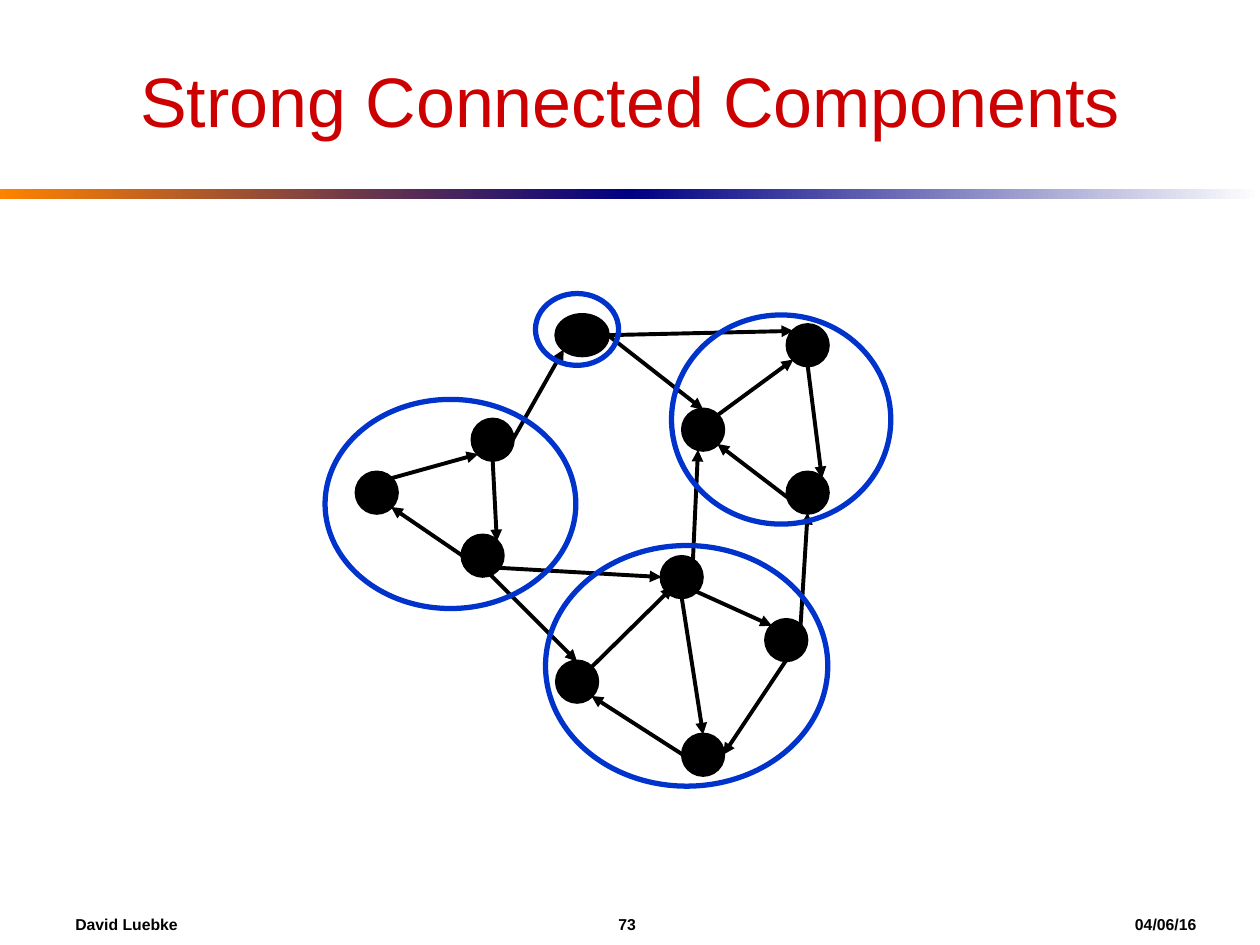
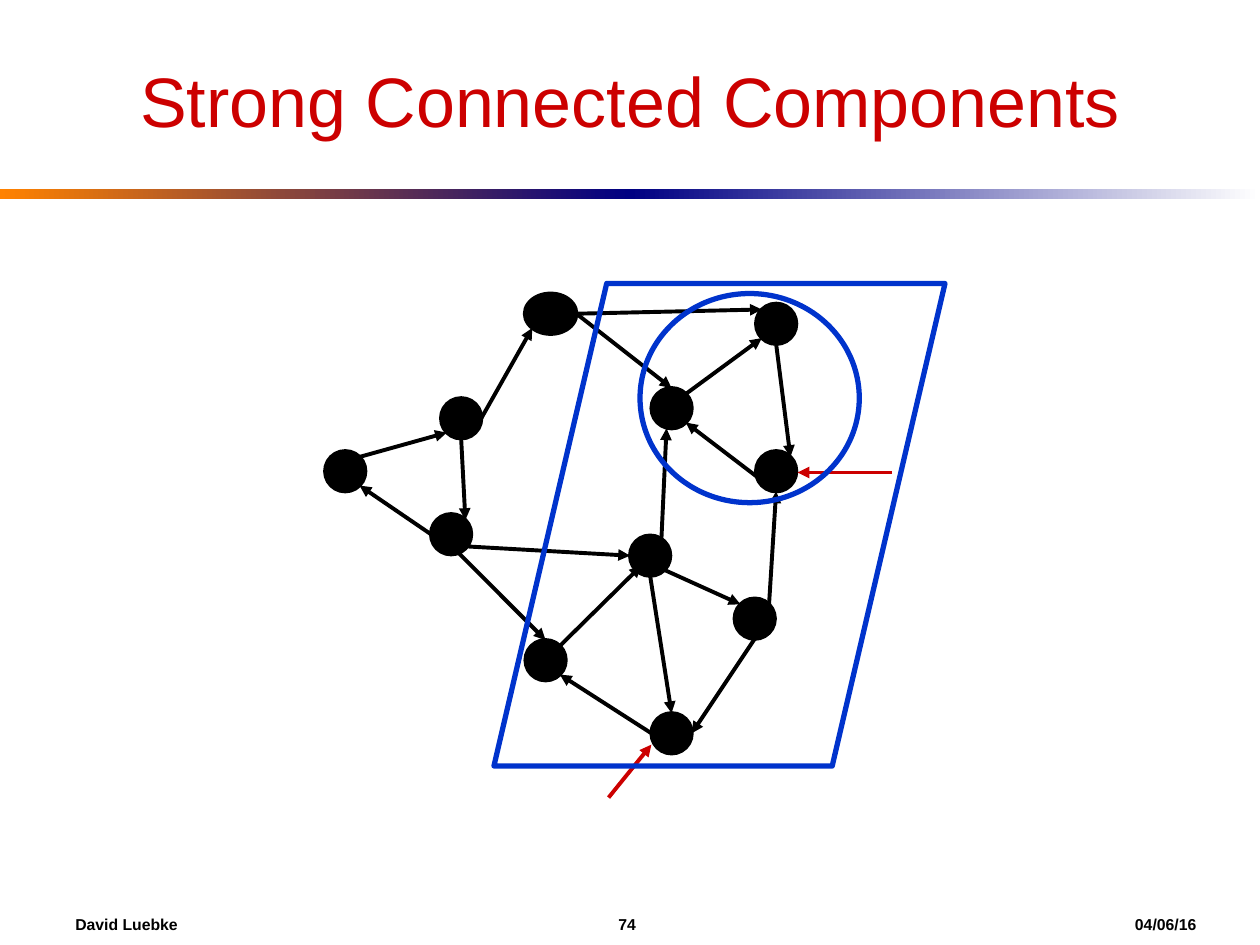
from lxml import etree
from pptx import Presentation
from pptx.dml.color import RGBColor
from pptx.enum.shapes import MSO_CONNECTOR as LINE, MSO_SHAPE as SHAPE
from pptx.enum.text import MSO_ANCHOR as ANCHOR, PP_ALIGN as ALIGN
from pptx.oxml.ns import qn
from pptx.util import Inches, Pt

BLACK = RGBColor(0x00, 0x00, 0x00)
WHITE = RGBColor(0xFF, 0xFF, 0xFF)
RED = RGBColor(0xCC, 0x00, 0x00)
BLUE = RGBColor(0x00, 0x33, 0xCC)
ORANGE = RGBColor(0xFF, 0x82, 0x00)
NAVY = RGBColor(0x00, 0x00, 0x82)

NODE_SIZE = 0.32
TOP_WIDTH = 0.41  # the top node is wider than the others

# Centre of each node
NODES = {
    "left": (2.99, 3.91), "upper": (3.91, 3.49), "lower": (3.83, 4.41),
    "top": (4.62, 2.66),
    "hub": (5.58, 3.41), "northeast": (6.41, 2.74), "east": (6.41, 3.91),
    "middle": (5.41, 4.58), "right": (6.24, 5.08),
    "bottom": (5.58, 5.99), "southwest": (4.58, 5.41),
}

# Points on a node, as fractions of its half width and half height
SITES = {
    "N": (0, -1), "E": (1, 0), "S": (0, 1), "W": (-1, 0),
    "NE": (0.71, -0.71), "SE": (0.71, 0.71),
    "SW": (-0.71, 0.71), "NW": (-0.71, -0.71),
    "NNE": (0.56, -0.81), "SSW": (-0.25, 1),
    "inner S": (0, 0.56), "inner SW": (-0.44, 0.5),
}

EDGES = [
    ("left", "NE", "upper", "SW"),
    ("upper", "S", "lower", "NE"),
    ("lower", "W", "left", "SE"),
    ("upper", "E", "top", "SW"),
    ("hub", "NE", "northeast", "SW"),
    ("northeast", "S", "east", "NE"),
    ("east", "S", "hub", "SE"),
    ("top", "E", "northeast", "NW"),
    ("top", "E", "hub", "N"),
    ("right", "NE", "east", "S"),
    ("middle", "SE", "right", "NW"),
    ("middle", "NNE", "hub", "SSW"),
    ("right", "S", "bottom", "E"),
    ("middle", "S", "bottom", "N"),
    ("bottom", "W", "southwest", "SE"),
    ("southwest", "NE", "middle", "inner SW"),
    ("lower", "inner S", "southwest", "N"),
    ("lower", "inner S", "middle", "W"),
]

RIGHT_COMPONENT = (5.33, 2.5, 1.74, 1.66)
OTHER_COMPONENTS = [
    (2.58, 3.17, 1.99, 1.66),
    (4.33, 4.33, 2.24, 1.91),
    (4.25, 2.33, 0.66, 0.57),
]


def node_width(name):
    return TOP_WIDTH if name == "top" else NODE_SIZE


def site_point(name, site):
    x, y = NODES[name]
    fx, fy = SITES[site]
    return x + fx * node_width(name) / 2, y + fy * NODE_SIZE / 2


class Deck:
    """Holds the style, the current slide and the offset of its drawing."""

    font = "Arial"

    def __init__(self):
        self.prs = Presentation()
        self.prs.slide_width, self.prs.slide_height = Inches(10), Inches(7.5)

    def new_slide(self, title, number, offset=(0, 0)):
        self.slide = self.prs.slides.add_slide(self.prs.slide_layouts[5])
        self.shapes = self.slide.shapes
        self.offset = (0, 0)
        self.band(0, ORANGE, NAVY)
        self.band(5, NAVY, WHITE)
        self.title(title)
        self.footer(number)
        self.offset = offset

    def style_text(self, p, size, color, bold=False):
        for r in p.runs:
            r.font.name, r.font.size, r.font.bold = self.font, Pt(size), bold
            r.font.color.rgb = color

    def place(self, x, y):
        return Inches(x + self.offset[0]), Inches(y + self.offset[1])

    def shape(self, kind, x, y, w, h):
        s = self.shapes.add_shape(kind, *self.place(x, y), Inches(w), Inches(h))
        s.shadow.inherit = False
        return s

    def band(self, left, start, end):
        s = self.shape(SHAPE.RECTANGLE, left, 1.5, 5, 0.08)
        s.line.fill.background()
        s.fill.gradient()
        s.fill.gradient_angle = 0
        for stop, color in zip(s.fill.gradient_stops, (start, end)):
            stop.color.rgb = color

    def title(self, text):
        s = self.shapes.title
        s.left, s.top = Inches(0.5), Inches(0.25)
        s.width, s.height = Inches(9), Inches(1.08)
        tf = s.text_frame
        tf.text = text
        tf.vertical_anchor = ANCHOR.MIDDLE
        p = tf.paragraphs[0]
        p.alignment = ALIGN.CENTER
        self.style_text(p, 40, RED)

    def footer(self, number):
        s = self.shapes.add_textbox(Inches(0.5), Inches(7.17),
                                    Inches(9.3), Inches(0.33))
        tf = s.text_frame
        tf.word_wrap = True
        tf.vertical_anchor = ANCHOR.MIDDLE
        p = tf.paragraphs[0]
        p.text = f"David Luebke\t{number}\t04/06/16"
        tabs = etree.SubElement(p._p.get_or_add_pPr(), qn("a:tabLst"))
        for position in (4.31, 8.41):
            etree.SubElement(tabs, qn("a:tab"), pos=str(Inches(position)), algn="l")
        self.style_text(p, 9, BLACK, bold=True)

    def node(self, name):
        x, y = NODES[name]
        w = node_width(name)
        s = self.shape(SHAPE.OVAL, x - w / 2, y - NODE_SIZE / 2, w, NODE_SIZE)
        s.fill.solid()
        s.fill.fore_color.rgb = BLACK
        s.line.color.rgb = BLACK
        s.line.width = Pt(2.25)

    def arrow(self, start, end, color=BLACK):
        s = self.shapes.add_connector(LINE.STRAIGHT, *self.place(*start),
                                      *self.place(*end))
        s.line.color.rgb = color
        s.line.width = Pt(2.25)
        etree.SubElement(s.line._get_or_add_ln(), qn("a:tailEnd"), type="triangle")
        etree.SubElement(s._element.spPr, qn("a:effectLst"))

    def graph(self):
        for name in NODES:
            self.node(name)
        for source, source_site, target, target_site in EDGES:
            self.arrow(site_point(source, source_site),
                       site_point(target, target_site))

    def outline(self, box, kind=SHAPE.OVAL):
        s = self.shape(kind, *box)
        s.fill.background()
        s.line.color.rgb = BLUE
        s.line.width = Pt(3)


def main():
    deck = Deck()
    title = "Strong Connected Components"

    deck.new_slide(title, 73)
    deck.graph()
    for box in OTHER_COMPONENTS + [RIGHT_COMPONENT]:
        deck.outline(box)

    deck.new_slide(title, 74, offset=(-0.25, -0.17))
    deck.graph()
    deck.arrow((7.33, 3.92), (6.58, 3.92), RED)
    deck.arrow((5.08, 6.5), (5.42, 6.08), RED)
    deck.outline(RIGHT_COMPONENT)
    deck.outline((4.17, 2.42, 3.58, 3.83), SHAPE.PARALLELOGRAM)

    deck.prs.save("out.pptx")


if __name__ == "__main__":
    main()
